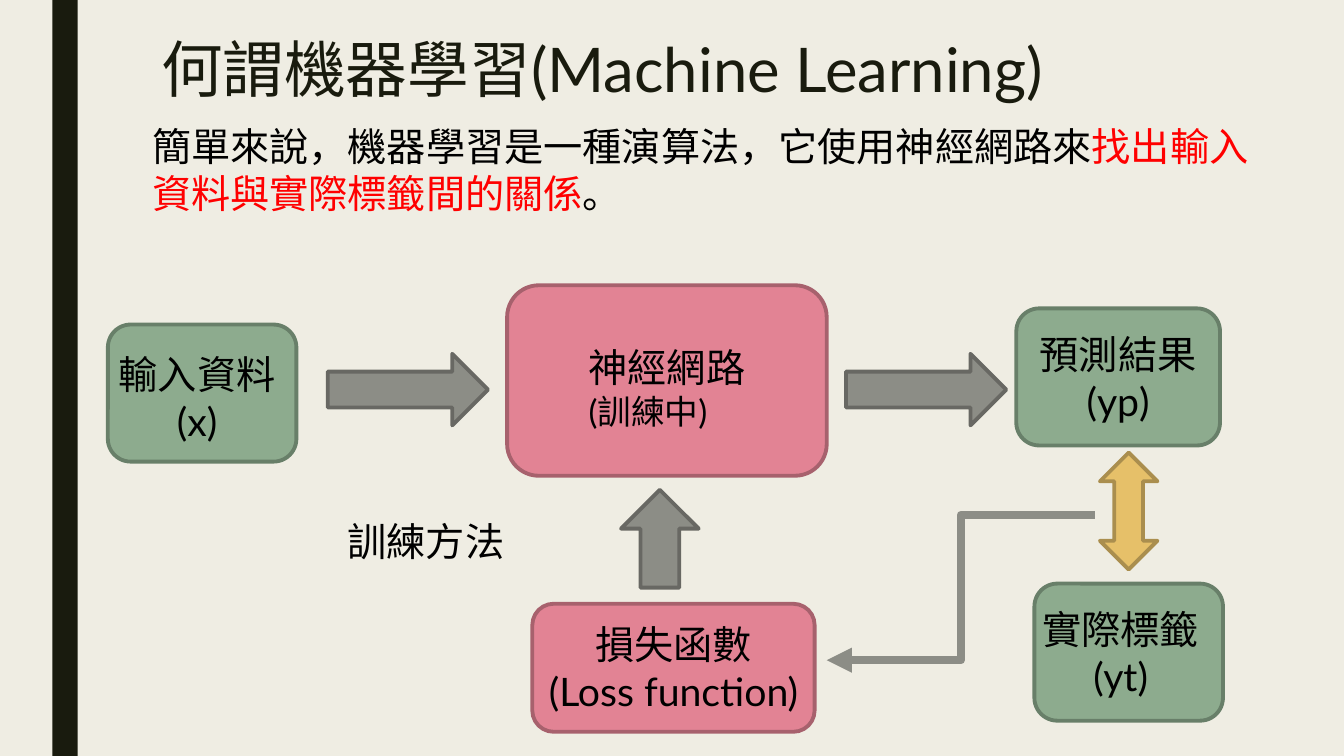
from lxml import etree
from pptx import Presentation
from pptx.dml.color import RGBColor
from pptx.enum.shapes import MSO_CONNECTOR, MSO_SHAPE
from pptx.enum.text import MSO_ANCHOR, PP_ALIGN
from pptx.oxml.ns import qn
from pptx.util import Inches, Pt

COLORS = {
    "paper": "EFEDE3", "dark": "191B0E", "black": "000000", "red": "FF0000",
    "green": "8DAB8E", "green edge": "687F69",
    "pink": "E28394", "pink edge": "A7616D",
    "gray": "8C8D86", "gray edge": "686863",
    "gold": "E6C069", "gold edge": "AA8E4E",
}
LEFT, CENTER = PP_ALIGN.LEFT, PP_ALIGN.CENTER


def color(name):
    return RGBColor.from_string(COLORS[name])


def write(frame, lines, wrap=True, anchor=MSO_ANCHOR.TOP):
    """Each line is an alignment and its runs of (text, size, color)."""
    frame.word_wrap = wrap
    frame.vertical_anchor = anchor
    for index, (align, runs) in enumerate(lines):
        paragraph = frame.add_paragraph() if index else frame.paragraphs[0]
        paragraph.alignment = align
        for text, size, ink in runs:
            run = paragraph.add_run()
            run.text = text
            run.font.name = "Lato"
            run.font.size = Pt(size)
            run.font.color.rgb = color(ink)


prs = Presentation()
prs.slide_width, prs.slide_height = Inches(13.33), Inches(7.5)
slide = prs.slides.add_slide(prs.slide_layouts[6])
slide.background.fill.solid()
slide.background.fill.fore_color.rgb = color("paper")
shapes = slide.shapes

# Side bar
side_bar = shapes.add_shape(MSO_SHAPE.RECTANGLE, Inches(0.52), 0, Inches(0.25), Inches(7.5))
side_bar.shadow.inherit = False
side_bar.fill.solid()
side_bar.fill.fore_color.rgb = color("dark")
side_bar.line.fill.background()

# Flow blocks and block arrows, with the text that sits inside them
BOX, RIGHT = MSO_SHAPE.ROUNDED_RECTANGLE, MSO_SHAPE.RIGHT_ARROW
predicted = [(CENTER, [("預測結果(yp)", 28, "black")])]
loss = [(CENTER, [("損失函數", 28, "black")]),
        (CENTER, [("(Loss function)", 28, "black")])]
blocks = [
    (BOX, (10.26, 5.79, 1.87, 1.36), "green", []),
    (BOX, (1.07, 3.22, 1.87, 1.36), "green", []),
    (RIGHT, (3.25, 3.51, 1.59, 0.71), "gray", []),
    (BOX, (5.03, 2.83, 3.17, 1.89), "pink", []),
    (RIGHT, (8.39, 3.51, 1.59, 0.71), "gray", []),
    (BOX, (10.08, 3.06, 2.02, 1.36), "green", predicted),
    (MSO_SHAPE.UP_DOWN_ARROW, (10.91, 4.49, 0.57, 1.16), "gold", []),
    (BOX, (5.28, 5.99, 2.8, 1.27), "pink", loss),
    (MSO_SHAPE.UP_ARROW, (6.16, 4.86, 0.77, 0.97), "gray", []),
]
for kind, place, fill, lines in blocks:
    block = shapes.add_shape(kind, *map(Inches, place))
    block.shadow.inherit = False
    block.fill.solid()
    block.fill.fore_color.rgb = color(fill)
    block.line.color.rgb = color(fill + " edge")
    block.line.width = Pt(2.75)
    write(block.text_frame, lines, anchor=MSO_ANCHOR.MIDDLE)

# Bent arrow from the comparison to the loss function
feedback = shapes.add_connector(
    MSO_CONNECTOR.ELBOW, Inches(10.86), Inches(5.11), Inches(8.2), Inches(6.55))
feedback.line.color.rgb = color("gray")
feedback.line.width = Pt(6)
etree.SubElement(feedback.line._get_or_add_ln(), qn("a:tailEnd"), type="triangle")
etree.SubElement(feedback._element.spPr, qn("a:effectLst"))

# Title, introduction and free-standing labels
title = [(LEFT, [("何謂機器學習(Machine Learning)", 44, "dark")])]
introduction = [(LEFT, [
    ("簡單來說，機器學習是一種演算法，它使用神經網路來", 28, "black"),
    ("找出輸入資料與實際標籤間的關係", 28, "red"),
    ("。", 28, "black"),
])]
texts = [
    ((1.5, 0.35, 10.5, 1.62), True, title),
    ((1.41, 1.16, 11.43, 1.04), True, introduction),
    ((1.08, 3.43, 1.77, 1.04), False,
     [(LEFT, [("輸入資料", 28, "black")]), (CENTER, [("(x)", 28, "black")])]),
    ((5.74, 3.36, 1.77, 0.98), False,
     [(LEFT, [("神經網路", 28, "black")]), (LEFT, [("(訓練中)", 24, "black")])]),
    ((3.35, 5.08, 1.77, 0.57), False, [(LEFT, [("訓練方法", 28, "black")])]),
    ((10.23, 5.96, 1.77, 1.04), False,
     [(CENTER, [("實際標籤", 28, "black")]), (CENTER, [("(yt)", 28, "black")])]),
]
for place, wrap, lines in texts:
    label = shapes.add_textbox(*map(Inches, place))
    write(label.text_frame, lines, wrap)
    if lines is title:
        label.text_frame.paragraphs[0].line_spacing = 0.89

prs.save("out.pptx")
